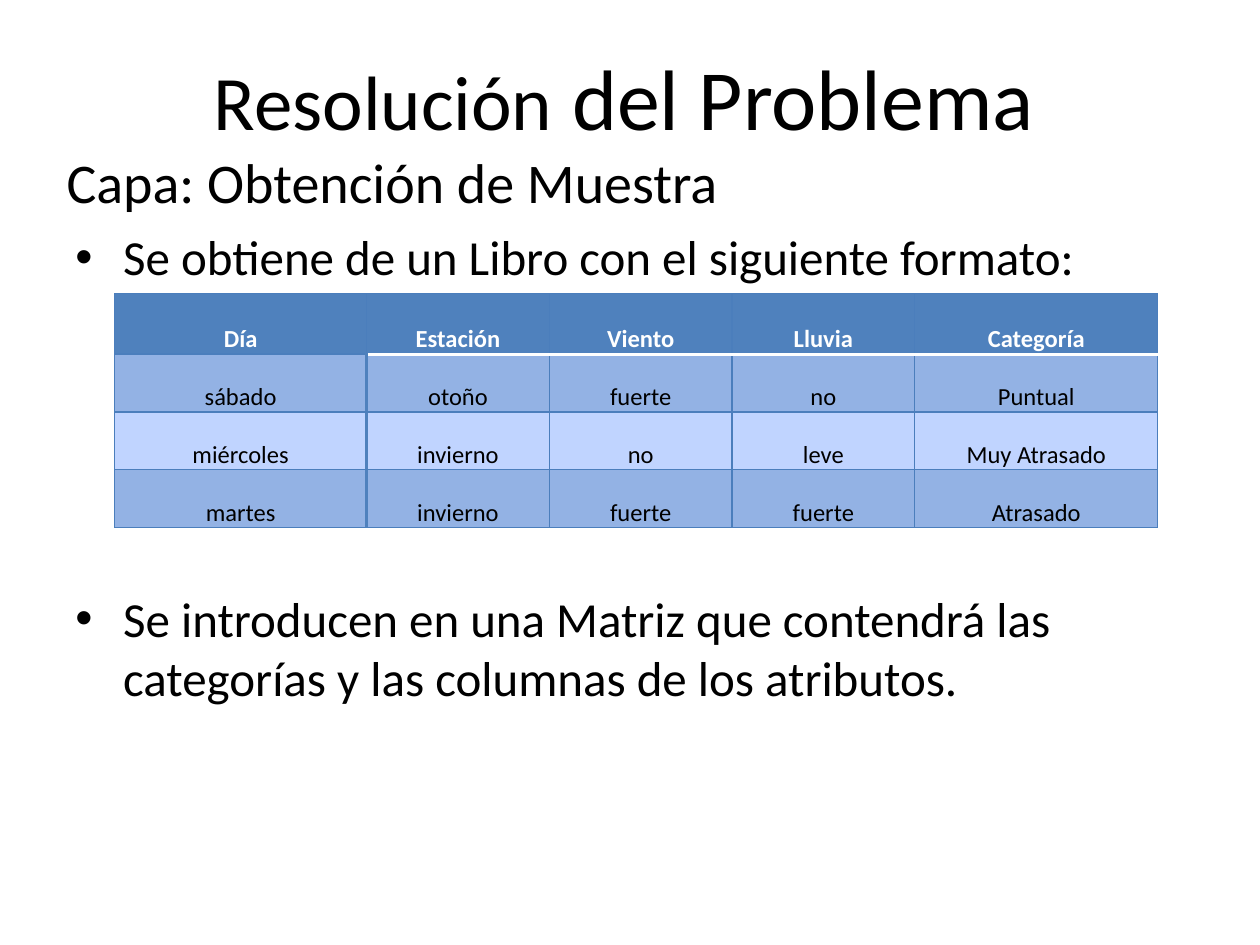
from pptx import Presentation
from pptx.dml.color import RGBColor
from pptx.enum.text import MSO_ANCHOR as Anchor, PP_ALIGN as Align
from pptx.oxml import parse_xml
from pptx.oxml.ns import nsdecls
from pptx.util import Inches, Pt

# Content
TITLE = [("Resolución", 44), (" del Problema", 49)]
SUBTITLE = "Capa: Obtención de Muestra"
POINTS = [  # text, space before in points (the table sits in the gap)
    ("Se obtiene de un Libro con el siguiente formato:", 0),
    ("Se introducen en una Matriz que contendrá las categorías y las "
     "columnas de los atributos.", 173),
]
SAMPLE = [
    ("Día", "Estación", "Viento", "Lluvia", "Categoría"),
    ("sábado", "otoño", "fuerte", "no", "Puntual"),
    ("miércoles", "invierno", "no", "leve", "Muy Atrasado"),
    ("martes", "invierno", "fuerte", "fuerte", "Atrasado"),
]
COLORS = {"text": "000000", "white": "FFFFFF", "header": "4F81BD",
          "band": "93B2E4", "plain": "C0D4FF", "grid": "4B7EBC"}
FONT = "Calibri"
COL_WIDTHS = (2, 1.45, 1.45, 1.45, 1.93)
ROW_HEIGHTS = (0.48, 0.46, 0.46, 0.46)


def box(*lengths):
    return [Inches(length) for length in lengths]


def write(paragraph, text, size, color="text", bold=False, align=Align.LEFT,
          spacing=None, before=0):
    paragraph.alignment = align
    paragraph.line_spacing = spacing
    paragraph.space_before = Pt(before)
    run = paragraph.add_run()
    run.text = text
    run.font.name, run.font.size, run.font.bold = FONT, Pt(size), bold
    run.font.color.rgb = RGBColor.from_string(COLORS[color])


def add_bullet(paragraph, indent):
    props = paragraph._p.get_or_add_pPr()
    props.set("marL", str(Inches(indent)))
    props.set("indent", str(-Inches(indent)))
    for tag in ('a:buFont {} typeface="Arial"', 'a:buChar {} char="•"'):
        props.append(parse_xml("<" + tag.format(nsdecls("a")) + "/>"))


def add_border(cell, side, color, width):
    cell._tc.get_or_add_tcPr().append(parse_xml(
        f'<a:ln{side} {nsdecls("a")} w="{Pt(width)}"><a:solidFill>'
        f'<a:srgbClr val="{COLORS[color]}"/></a:solidFill></a:ln{side}>'))


def borders(row, col):
    """Border of each side; shared edges get the same line from both cells."""
    thin, rule, key = ("grid", 0.75), ("white", 2), ("header", 2)
    return {
        "L": key if col == 1 and row else thin,
        "R": key if col == 0 and row else thin,
        "T": rule if row == 1 and col else thin,
        "B": rule if row == 0 and col else thin,
    }


prs = Presentation()
prs.slide_width, prs.slide_height = box(10, 7.5)
slide = prs.slides.add_slide(prs.slide_layouts[5])

# Title
title = slide.shapes.title
title.left, title.top, title.width, title.height = box(0.45, 0.21, 9, 1.1)
title.text_frame.vertical_anchor = Anchor.MIDDLE
for words, size in TITLE:
    write(title.text_frame.paragraphs[0], words, size, align=Align.CENTER)

# Bullet points
points = slide.shapes.add_textbox(*box(0.5, 1.75, 9, 4.95)).text_frame
points.word_wrap = True
for i, (point, gap) in enumerate(POINTS):
    paragraph = points.add_paragraph() if i else points.paragraphs[0]
    write(paragraph, point, 28, before=gap)
    add_bullet(paragraph, 0.38)

# Sample table
table = slide.shapes.add_table(
    len(SAMPLE), len(COL_WIDTHS),
    *box(0.91, 2.33, sum(COL_WIDTHS), sum(ROW_HEIGHTS))).table
for column, width in zip(table.columns, COL_WIDTHS):
    column.width = Inches(width)
for row, height in zip(table.rows, ROW_HEIGHTS):
    row.height = Inches(height)
for r, values in enumerate(SAMPLE):
    fill = "header" if r == 0 else "band" if r % 2 else "plain"
    for c, value in enumerate(values):
        cell = table.cell(r, c)
        cell.vertical_anchor = Anchor.BOTTOM
        cell.margin_left = cell.margin_right = Inches(0.05)
        cell.margin_top = cell.margin_bottom = 0
        for side, (color, width) in borders(r, c).items():
            add_border(cell, side, color, width)
        cell.fill.solid()
        cell.fill.fore_color.rgb = RGBColor.from_string(COLORS[fill])
        write(cell.text_frame.paragraphs[0], value, 14, bold=r == 0,
              color="text" if r else "white", align=Align.CENTER, spacing=1.15)

# Subtitle
subtitle = slide.shapes.add_textbox(*box(0.43, 1.12, 7.48, 0.64)).text_frame
subtitle.word_wrap = True
write(subtitle.paragraphs[0], SUBTITLE, 32)

prs.save("out.pptx")
